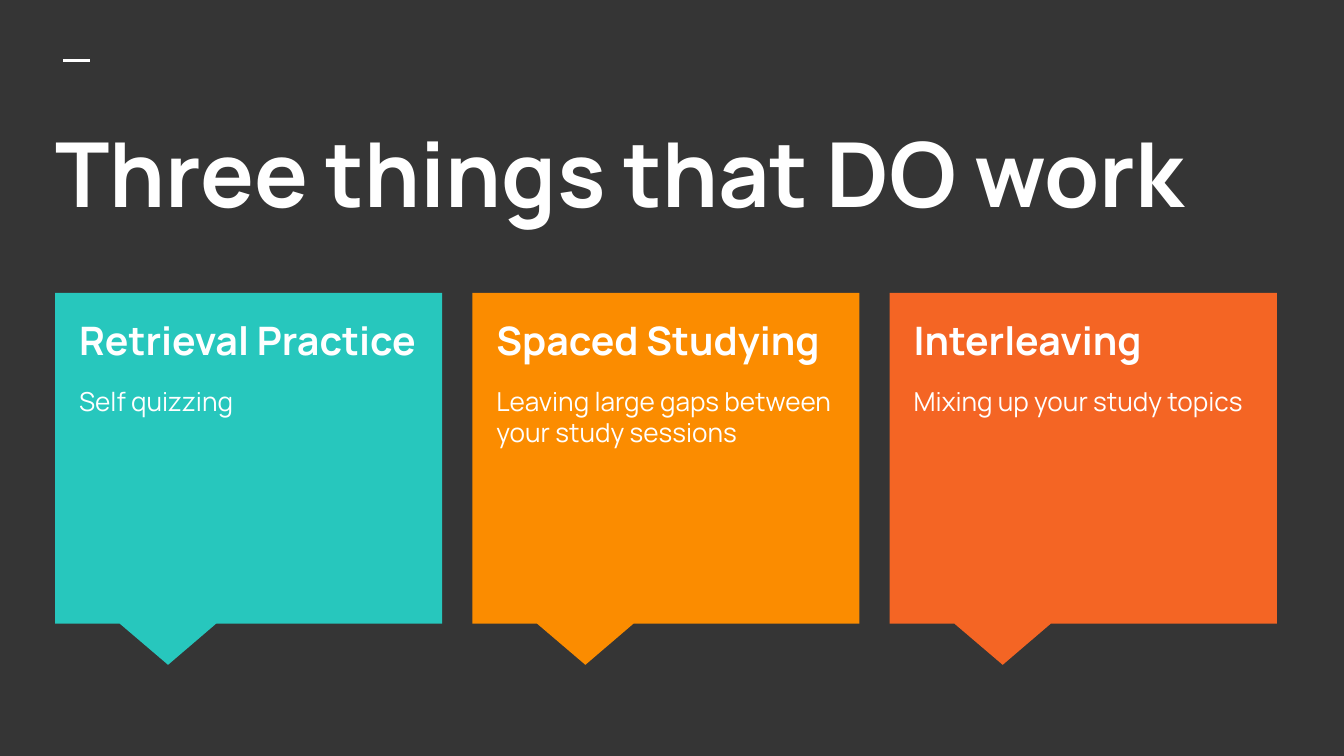
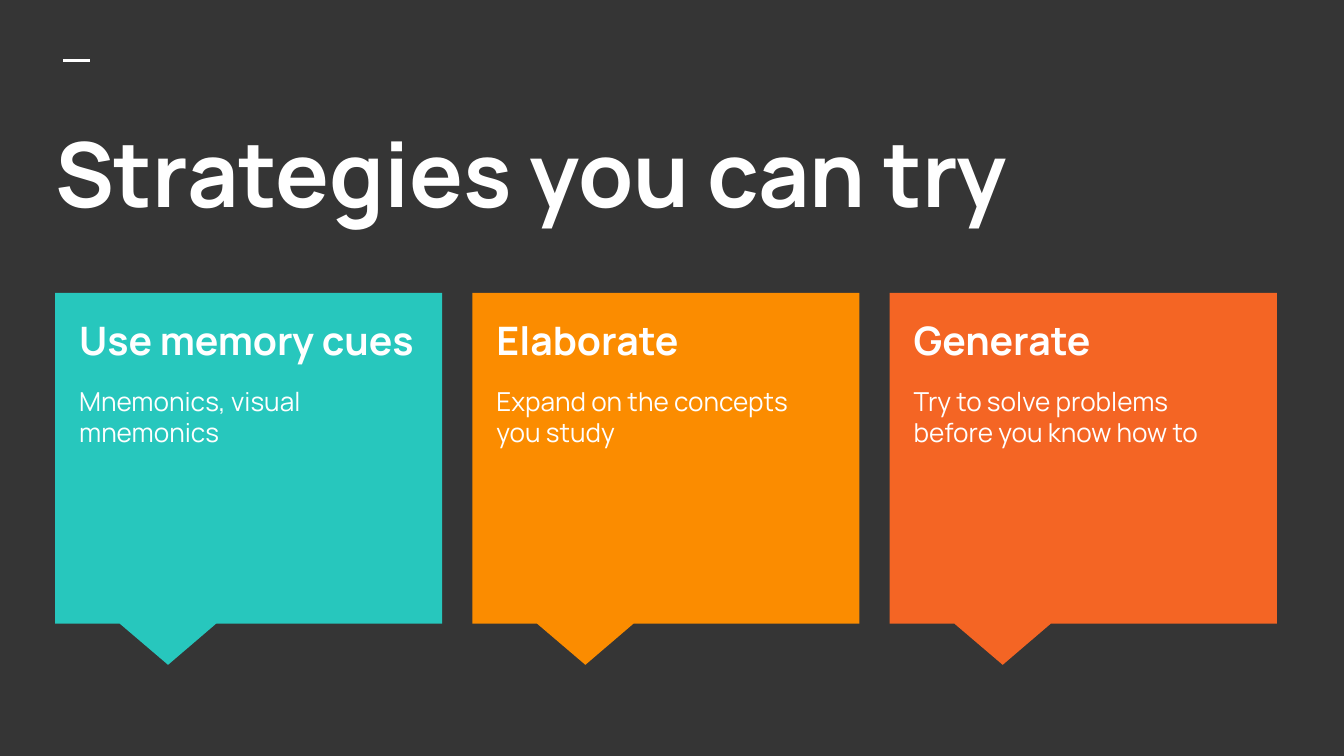
"""Build two slides on study strategies, each with a title and three callout cards."""
from lxml.etree import SubElement
from pptx import Presentation
from pptx.dml.color import RGBColor
from pptx.enum.shapes import MSO_CONNECTOR, MSO_SHAPE
from pptx.enum.text import MSO_ANCHOR, MSO_AUTO_SIZE, PP_ALIGN
from pptx.oxml.ns import qn
from pptx.util import Inches, Pt

SLIDES = [
    ("Three things that DO work", [
        ("Retrieval Practice", "Self quizzing"),
        ("Spaced Studying", "Leaving large gaps between your study sessions"),
        ("Interleaving", "Mixing up your study topics"),
    ]),
    ("Strategies you can try", [
        ("Use memory cues", "Mnemonics, visual mnemonics"),
        ("Elaborate", "Expand on the concepts you study"),
        ("Generate", "Try to solve problems before you know how to"),
    ]),
]

COLORS = {
    "background": "353535",
    "text": "FFFFFF",
    "teal": "27C7BD",
    "amber": "FB8C00",
    "orange": "F46524",
}
CARD_COLORS = ("teal", "amber", "orange")
FONT = "Manrope"

SLIDE_WIDTH = 10
SLIDE_HEIGHT = SLIDE_WIDTH * 9 / 16
TITLE_BOX = (0.31, 0.78, 9.43, 1.12)
DASH_LEFT, DASH_RIGHT, DASH_TOP = 0.47, 0.67, 0.45
CARD_LEFT, CARD_TOP, CARD_WIDTH, CARD_HEIGHT = 0.41, 2.18, 2.88, 2.46
CARD_GAP = (SLIDE_WIDTH - 0.5 - CARD_LEFT - 3 * CARD_WIDTH) / 2
CARD_POINTER = (-0.208, 0.625)
TEXT_INSET, TEXT_HEIGHT = 0.08, 2.19


def color(name):
    """Return the named palette colour."""
    return RGBColor.from_string(COLORS[name])


def inches(*lengths):
    """Convert lengths to slide units."""
    return [Inches(length) for length in lengths]


def write(shape, text, size, bold=False, space_after=0):
    """Add one formatted paragraph to the text of a shape."""
    frame = shape.text_frame
    frame.word_wrap = True
    frame.auto_size = MSO_AUTO_SIZE.NONE
    frame.vertical_anchor = MSO_ANCHOR.TOP
    frame.margin_left = frame.margin_right = Inches(0.1)
    frame.margin_top = frame.margin_bottom = Inches(0.1)
    paragraph = frame.add_paragraph() if frame.text else frame.paragraphs[0]
    paragraph.alignment = PP_ALIGN.LEFT
    paragraph.line_spacing = 1.0
    paragraph.space_before = Pt(0)
    paragraph.space_after = Pt(space_after)
    run = paragraph.add_run()
    run.text = text
    run.font.name = FONT
    run.font.size = Pt(size)
    run.font.bold = bold
    run.font.color.rgb = color("text")


def add_dash(slide):
    """Draw the short line above the title."""
    dash = slide.shapes.add_connector(
        MSO_CONNECTOR.STRAIGHT, *inches(DASH_LEFT, DASH_TOP, DASH_RIGHT, DASH_TOP))
    dash.line.color.rgb = color("text")
    dash.line.width = Pt(1.5)
    SubElement(dash._element.spPr, qn("a:effectLst"))


def add_title(slide, text):
    """Place and fill the title placeholder."""
    title = slide.shapes.title
    title.left, title.top, title.width, title.height = inches(*TITLE_BOX)
    write(title, text, size=48, bold=True)


def add_card(slide, column, heading, detail):
    """Draw one callout with its heading and detail."""
    left = CARD_LEFT + column * (CARD_WIDTH + CARD_GAP)
    card = slide.shapes.add_shape(
        MSO_SHAPE.RECTANGULAR_CALLOUT, *inches(left, CARD_TOP, CARD_WIDTH, CARD_HEIGHT))
    for index, value in enumerate(CARD_POINTER):
        card.adjustments[index] = value
    card.fill.solid()
    card.fill.fore_color.rgb = color(CARD_COLORS[column])
    card.line.fill.background()
    card.shadow.inherit = False
    box = slide.shapes.add_textbox(*inches(
        left + TEXT_INSET, CARD_TOP + 0.07, CARD_WIDTH - 2 * TEXT_INSET, TEXT_HEIGHT))
    write(box, heading, size=21, bold=True, space_after=12)
    write(box, detail, size=14, space_after=12)


def main():
    """Build and save the presentation."""
    presentation = Presentation()
    presentation.slide_width, presentation.slide_height = inches(SLIDE_WIDTH, SLIDE_HEIGHT)
    background = presentation.slide_master.background.fill
    background.solid()
    background.fore_color.rgb = color("background")
    title_only = presentation.slide_layouts.get_by_name("Title Only")
    for title, cards in SLIDES:
        slide = presentation.slides.add_slide(title_only)
        add_dash(slide)
        add_title(slide, title)
        for column, (heading, detail) in enumerate(cards):
            add_card(slide, column, heading, detail)
    presentation.save("out.pptx")


if __name__ == "__main__":
    main()
